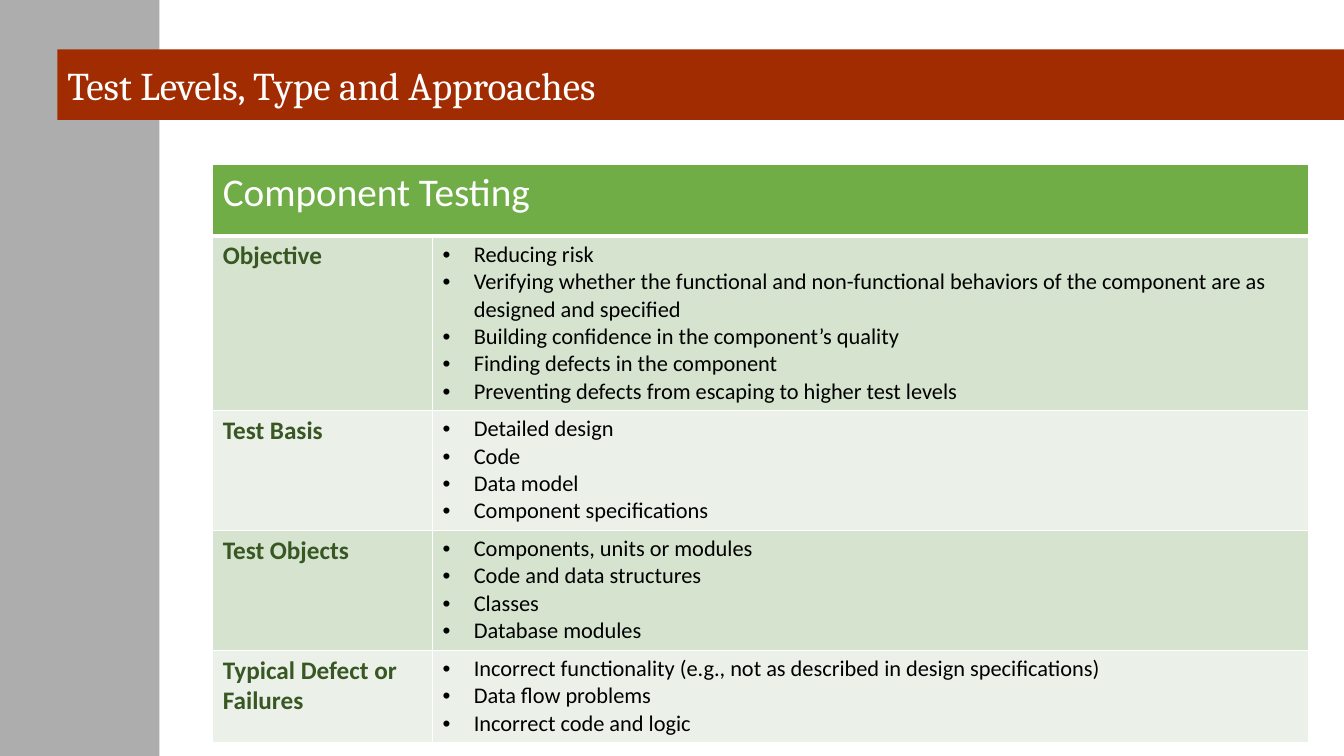
from lxml import etree
from pptx import Presentation
from pptx.dml.color import RGBColor
from pptx.enum.shapes import MSO_SHAPE
from pptx.enum.text import MSO_ANCHOR, PP_ALIGN
from pptx.oxml.ns import qn
from pptx.util import Inches, Pt

RECTANGLE = MSO_SHAPE.RECTANGLE
MIDDLE = MSO_ANCHOR.MIDDLE
LEFT = PP_ALIGN.LEFT

WHITE = RGBColor(0xFF, 0xFF, 0xFF)
BLACK = RGBColor(0x00, 0x00, 0x00)
GREY = RGBColor(0xD9, 0xD9, 0xD9)
RUST = RGBColor(0xA2, 0x2C, 0x01)
GREEN = RGBColor(0x70, 0xAD, 0x47)
DARK_GREEN = RGBColor(0x38, 0x57, 0x23)
BANDS = (RGBColor(0xD5, 0xE3, 0xCF), RGBColor(0xEB, 0xF1, 0xE9))

COLUMN_WIDTHS = (2.18, 8.69)
HEADER_HEIGHT = 0.71
HEADER_RULE = 3
BULLET_INDENT = Inches(0.31)

SECTIONS = (
    ("Objective", 1.72, (
        "Reducing risk",
        "Verifying whether the functional and non-functional behaviors "
        "of the component are as designed and specified",
        "Building confidence in the component’s quality",
        "Finding defects in the component",
        "Preventing defects from escaping to higher test levels",
    )),
    ("Test Basis", 1.19, (
        "Detailed design",
        "Code",
        "Data model",
        "Component specifications",
    )),
    ("Test Objects", 1.19, (
        "Components, units or modules",
        "Code and data structures",
        "Classes",
        "Database modules",
    )),
    ("Typical Defect or Failures", 0.91, (
        "Incorrect functionality (e.g., not as described in design specifications)",
        "Data flow problems",
        "Incorrect code and logic",
    )),
)


def add_block(page, box, color):
    """Add a plain filled rectangle to the page."""
    block = page.shapes.add_shape(RECTANGLE, *map(Inches, box))
    block.shadow.inherit = False
    block.fill.solid()
    block.fill.fore_color.rgb = color
    block.line.fill.background()
    return block


def style_text(para, size, color, font="Calibri", bold=False):
    """Format every run of a paragraph."""
    for span in para.runs:
        span.font.name = font
        span.font.size = Pt(size)
        span.font.bold = bold
        span.font.color.rgb = color


def add_side_panel(page, box):
    """Add the grey side panel and its translucent shade."""
    add_block(page, box, GREY)
    shade = add_block(page, box, BLACK)
    color = next(shade.fill._xPr.iter(qn("a:srgbClr")))
    etree.SubElement(color, qn("a:alpha"), val="20000")


def add_title_bar(page, box, text):
    """Add the coloured bar holding the slide title."""
    bar = add_block(page, box, RUST)
    frame = bar.text_frame
    frame.word_wrap = True
    frame.vertical_anchor = MIDDLE
    frame.text = text
    para = frame.paragraphs[0]
    para.alignment = LEFT
    style_text(para, 28, WHITE, "Cambria")


def style_cell(cell, color, top=1, bottom=1):
    """Give a cell white borders and a solid fill."""
    properties = cell._tc.get_or_add_tcPr()
    for side, width in (("L", 1), ("R", 1), ("T", top), ("B", bottom)):
        border = etree.SubElement(properties, qn(f"a:ln{side}"), w=str(Pt(width)))
        fill = etree.SubElement(border, qn("a:solidFill"))
        etree.SubElement(fill, qn("a:srgbClr"), val=str(WHITE))
    cell.fill.solid()
    cell.fill.fore_color.rgb = color


def fill_label(cell, text, size, color, bold):
    """Write a single heading into a cell."""
    cell.text_frame.text = text
    style_text(cell.text_frame.paragraphs[0], size, color, bold=bold)


def fill_bullets(cell, items):
    """Write a bulleted list into a cell."""
    cell.text_frame.text = "\n".join(items)
    for para in cell.text_frame.paragraphs:
        properties = para._p.get_or_add_pPr()
        properties.set("marL", str(BULLET_INDENT))
        properties.set("indent", str(-BULLET_INDENT))
        etree.SubElement(properties, qn("a:buFont"), typeface="Arial")
        etree.SubElement(properties, qn("a:buChar"), char="•")
        style_text(para, 16, BLACK)


def add_testing_table(page, left, top, heading):
    """Add the table with one banded row for each section."""
    heights = [HEADER_HEIGHT] + [height for _, height, _ in SECTIONS]
    box = (left, top, sum(COLUMN_WIDTHS), sum(heights))
    table = page.shapes.add_table(
        len(heights), len(COLUMN_WIDTHS), *map(Inches, box)).table
    for column, width in zip(table.columns, COLUMN_WIDTHS):
        column.width = Inches(width)
    for row, height in zip(table.rows, heights):
        row.height = Inches(height)

    header = table.cell(0, 0)
    header.merge(table.cell(0, 1))
    for cell in table.rows[0].cells:
        style_cell(cell, GREEN, bottom=HEADER_RULE)
    fill_label(header, heading, 28, WHITE, False)

    for index, (label, _, items) in enumerate(SECTIONS):
        label_cell, list_cell = table.rows[index + 1].cells
        for cell in (label_cell, list_cell):
            style_cell(cell, BANDS[index % 2], top=1 if index else HEADER_RULE)
        fill_label(label_cell, label, 18, DARK_GREEN, True)
        fill_bullets(list_cell, items)


def main():
    """Build the slide and save the deck."""
    deck = Presentation()
    deck.slide_width = Inches(13.33)
    deck.slide_height = Inches(7.5)
    page = deck.slides.add_slide(deck.slide_layouts[6])
    add_side_panel(page, (0, 0, 1.58, 7.5))
    add_title_bar(page, (0.57, 0.49, 12.76, 0.7), "Test Levels, Type and Approaches")
    add_testing_table(page, 2.11, 1.63, "Component Testing")
    deck.save("out.pptx")


if __name__ == "__main__":
    main()
